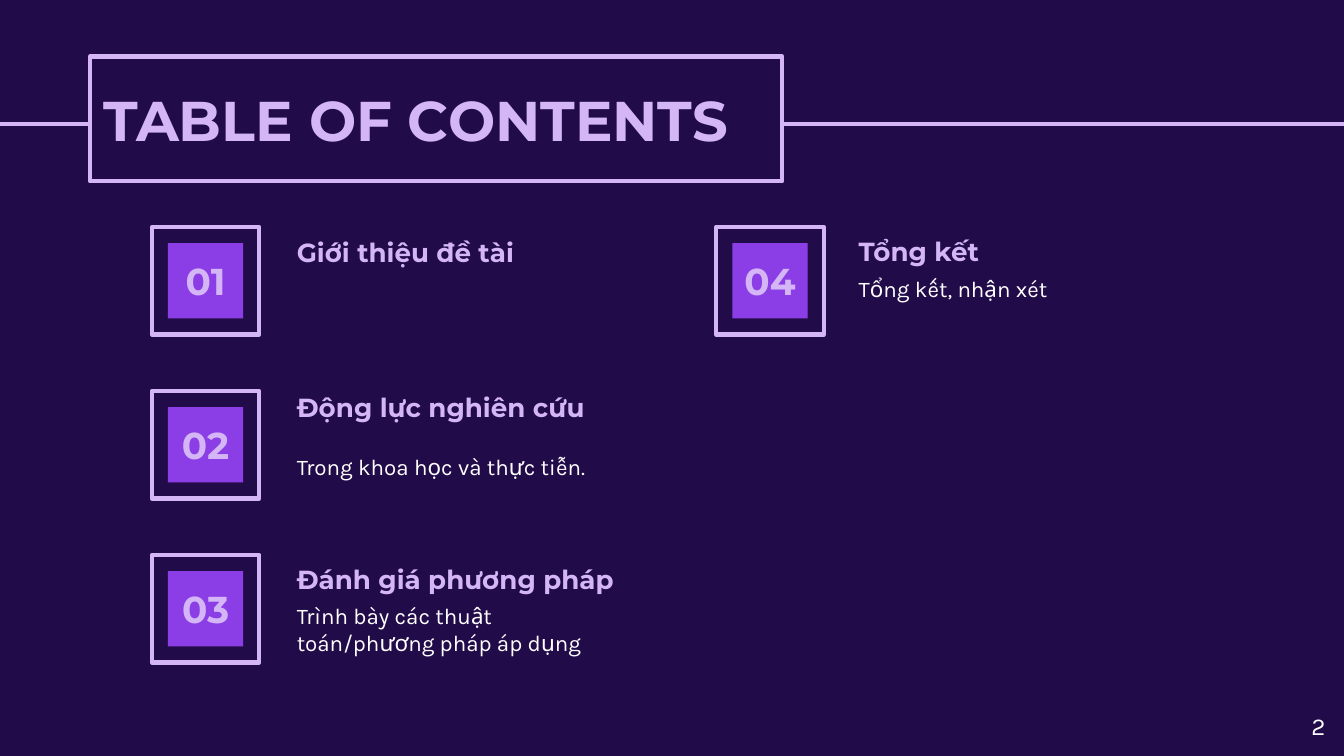
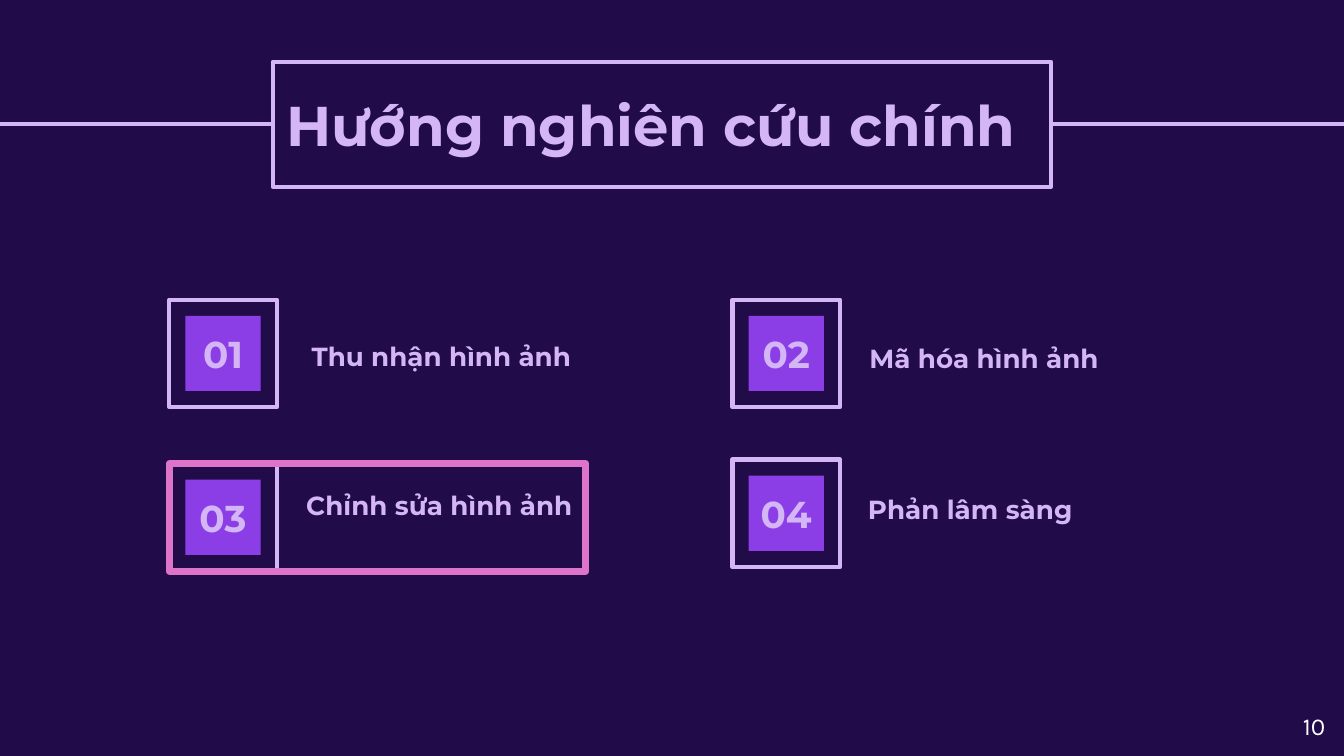
from dataclasses import dataclass
from typing import Optional

from lxml.etree import SubElement
from pptx import Presentation
from pptx.dml.color import RGBColor
from pptx.enum.shapes import MSO_CONNECTOR, MSO_SHAPE
from pptx.enum.text import MSO_ANCHOR, MSO_AUTO_SIZE, PP_ALIGN
from pptx.oxml.ns import qn
from pptx.util import Inches, Pt

COLORS = {
    "night": "220B49",
    "lilac": "D4B6F6",
    "violet": "8C3EE6",
    "pink": "DE73CA",
    "white": "FFFFFF",
}
HEAD_FONT, BODY_FONT = "Montserrat", "Karla"
CELL = Inches(0.1)
COLS, ROWS = 100, 56.25
BAND_ROW = 9.2
BADGE, BADGE_CORE = 8, 5.6
NUMBER_ROWS = 3.8
TEXT_COLS, HEADING_ROWS, NOTE_ROWS = 25.8, 4.6, 5.9
BADGE_STEP = 12.2


@dataclass(frozen=True)
class Box:
    """An area in grid columns and rows."""
    col: float
    row: float
    cols: float
    rows: float

    def emu(self) -> list[int]:
        """Return left, top, width and height as lengths."""
        return [round(v * CELL) for v in (self.col, self.row, self.cols, self.rows)]


@dataclass(frozen=True)
class Style:
    """The look of one kind of text."""
    size: float
    font: str = HEAD_FONT
    color: str = "lilac"
    bold: bool = True
    align: PP_ALIGN = PP_ALIGN.LEFT
    anchor: MSO_ANCHOR = MSO_ANCHOR.TOP


@dataclass(frozen=True)
class Item:
    """A numbered badge with its heading and optional note."""
    number: str
    col: float
    row: float
    heading: str
    text_col: float
    text_row: float
    note: Optional[str] = None
    note_row: float = 0


@dataclass(frozen=True)
class Page:
    """The content of one slide."""
    title: str
    title_box: Box
    items: list[Item]
    number: str
    highlight: Optional[Box] = None


TITLE = Style(30, anchor=MSO_ANCHOR.MIDDLE)
NUMBER = Style(20, align=PP_ALIGN.CENTER, anchor=MSO_ANCHOR.MIDDLE)
HEADING = Style(14)
NOTE = Style(12, BODY_FONT, "white", False)
PAGE_NUMBER = Style(13, BODY_FONT, "white", False, PP_ALIGN.RIGHT)

TOP_1, TOP_2 = 16.9, 22.3
PAGES = [
    Page("TABLE OF CONTENTS", Box(6.7, 4.2, 51.5, 9.3), [
        Item("01", 11.3, TOP_1, "Giới thiệu đề tài", 21.1, 16.6),
        Item("02", 11.3, TOP_1 + BADGE_STEP, "Động lực nghiên cứu", 21.1, 28.1,
             "Trong khoa học và thực tiễn.", 32.7),
        Item("03", 11.3, TOP_1 + 2 * BADGE_STEP, "Đánh giá phương pháp", 21.1, 40.9,
             "Trình bày các thuật toán/phương pháp áp dụng", 43.8),
        Item("04", 53.3, TOP_1, "Tổng kết", 61.1 + 1.8, 16.5,
             "Tổng kết, nhận xét", 19.5),
    ], "2"),
    Page("Hướng nghiên cứu chính", Box(20.3, 4.6, 57.9, 9.3), [
        Item("01", 12.6, TOP_2, "Thu nhận hình ảnh", 22.2, 24.3),
        Item("02", 54.5, TOP_2, "Mã hóa hình ảnh", 63.7, 24.5),
        Item("03", 12.6, TOP_2 + BADGE_STEP, "Chỉnh sửa hình ảnh", 21.8, 35.4),
        Item("04", 54.5, 34.2, "Phản lâm sàng", 63.6, 35.7),
    ], "10", Box(12.6, TOP_2 + BADGE_STEP, 31, BADGE)),
]


def rgb(name: str) -> RGBColor:
    """Look up a named colour."""
    return RGBColor.from_string(COLORS[name])


def outline(shape, color: str, width: float) -> None:
    """Give a shape a solid outline with round corners."""
    shape.line.color.rgb = rgb(color)
    shape.line.width = Pt(width)
    SubElement(shape.line._get_or_add_ln(), qn("a:round"))


def write(shape, text: str, style: Style) -> None:
    """Put one styled paragraph into a shape."""
    tf = shape.text_frame
    tf.word_wrap = True
    tf.auto_size = MSO_AUTO_SIZE.NONE
    tf.vertical_anchor = style.anchor
    tf.margin_left = tf.margin_right = tf.margin_top = tf.margin_bottom = CELL
    p = tf.paragraphs[0]
    p.text = text
    p.alignment = style.align
    p.font.name = style.font
    p.font.size = Pt(style.size)
    p.font.bold = style.bold
    p.font.color.rgb = rgb(style.color)


def add_text(s, box: Box, text: str, style: Style) -> None:
    """Add a text box."""
    write(s.shapes.add_textbox(*box.emu()), text, style)


def add_frame(s, box: Box, color: str = "lilac", width: float = 2.25) -> None:
    """Add an unfilled rectangle."""
    sp = s.shapes.add_shape(MSO_SHAPE.RECTANGLE, *box.emu())
    sp.shadow.inherit = False
    sp.fill.background()
    outline(sp, color, width)


def add_band(s) -> None:
    """Add the line that runs behind the title."""
    y = round(BAND_ROW * CELL)
    line = s.shapes.add_connector(MSO_CONNECTOR.STRAIGHT, 0, y, COLS * CELL, y)
    line.line.color.rgb = rgb("lilac")
    line.line.width = Pt(2.25)
    SubElement(line._element.spPr, qn("a:effectLst"))


def add_title(s, text: str, box: Box) -> None:
    """Format the title placeholder and bring it above the band."""
    sp = s.shapes.title
    sp.left, sp.top, sp.width, sp.height = box.emu()
    sp.fill.solid()
    sp.fill.fore_color.rgb = rgb("night")
    outline(sp, "lilac", 2.25)
    write(sp, text, TITLE)
    s.shapes._spTree.append(sp._element)


def add_item(s, item: Item) -> None:
    """Add a badge, its number, heading and note."""
    add_frame(s, Box(item.col, item.row, BADGE, BADGE))
    inset = (BADGE - BADGE_CORE) / 2
    core = Box(item.col + inset, item.row + inset, BADGE_CORE, BADGE_CORE)
    sp = s.shapes.add_shape(MSO_SHAPE.RECTANGLE, *core.emu())
    sp.shadow.inherit = False
    sp.fill.solid()
    sp.fill.fore_color.rgb = rgb("violet")
    sp.line.fill.background()
    number_row = item.row + (BADGE - NUMBER_ROWS) / 2
    add_text(s, Box(item.col, number_row, BADGE, NUMBER_ROWS), item.number, NUMBER)
    add_text(s, Box(item.text_col, item.text_row, TEXT_COLS, HEADING_ROWS),
             item.heading, HEADING)
    if item.note:
        add_text(s, Box(item.text_col, item.note_row, TEXT_COLS, NOTE_ROWS),
                 item.note, NOTE)


def add_page(prs, page: Page) -> None:
    """Build one slide."""
    s = prs.slides.add_slide(prs.slide_layouts.get_by_name("Title Only"))
    s.background.fill.solid()
    s.background.fill.fore_color.rgb = rgb("night")
    add_band(s)
    add_title(s, page.title, page.title_box)
    for item in page.items:
        add_item(s, item)
    add_text(s, Box(93.6, 51.9, 6, 4.3), page.number, PAGE_NUMBER)
    if page.highlight:
        add_frame(s, page.highlight, "pink", 3.75)


def main() -> None:
    """Build and save the presentation."""
    prs = Presentation()
    prs.slide_width, prs.slide_height = COLS * CELL, round(ROWS * CELL)
    for page in PAGES:
        add_page(prs, page)
    prs.save("out.pptx")


if __name__ == "__main__":
    main()
